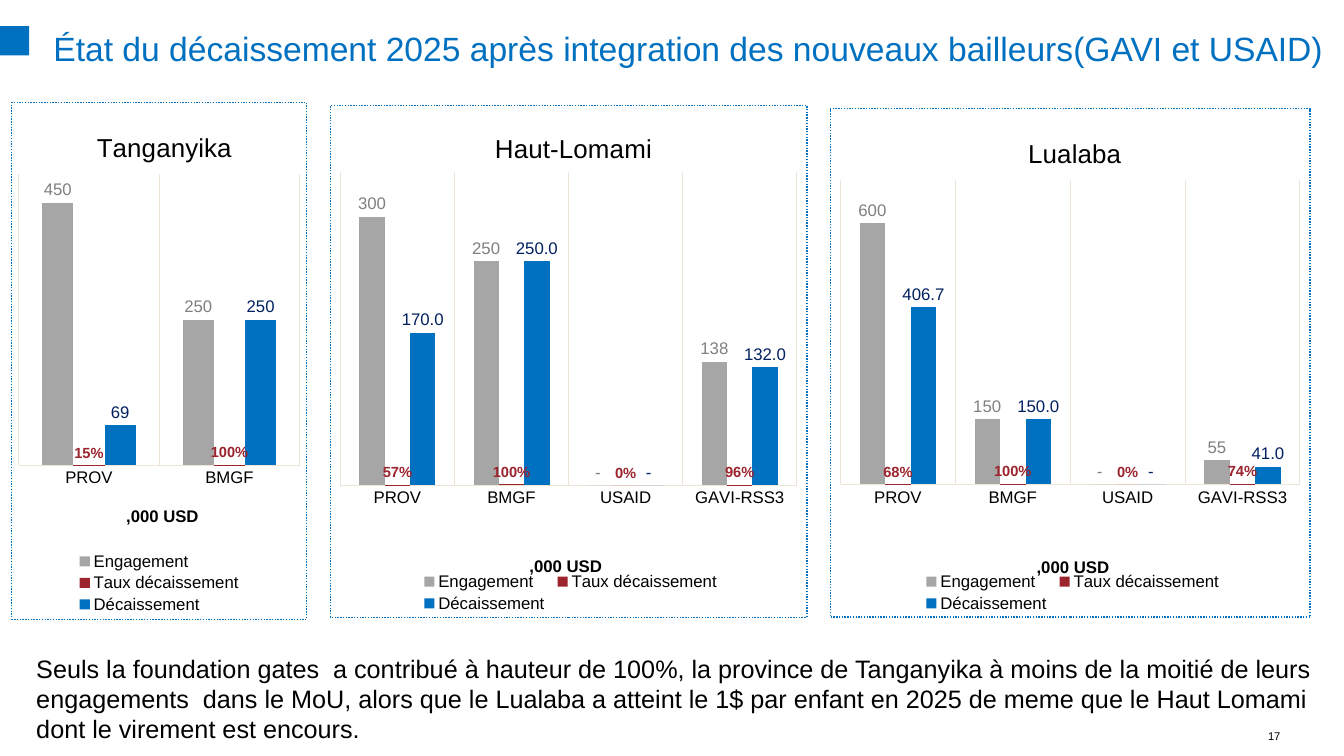
from dataclasses import dataclass

from lxml import etree
from pptx import Presentation
from pptx.chart.data import CategoryChartData
from pptx.dml.color import RGBColor
from pptx.enum.chart import XL_CHART_TYPE as ChartType
from pptx.enum.chart import XL_LABEL_POSITION as LabelPosition
from pptx.enum.chart import XL_LEGEND_POSITION as LegendPosition
from pptx.enum.chart import XL_TICK_MARK as TickMark
from pptx.enum.shapes import MSO_SHAPE as Preset
from pptx.enum.text import MSO_ANCHOR as Anchor
from pptx.enum.text import PP_ALIGN as Align
from pptx.oxml.ns import qn
from pptx.util import Emu, Pt

PX = 9144  # 100 px to the inch
FONT = "Arial"
COLORS = {
    "black": "000000",
    "blue": "0070C0",
    "navy": "002060",
    "grey": "A6A6A6",
    "label_grey": "808080",
    "red": "9B242D",
    "grid": "EDE4D8",
}
WHOLE, DECIMAL = (
    f'_ * #\\ {digits}_)_ ;_ * \\(#\\ {digits}\\)_ ;_ * "-"_)_ '
    for digits in ("##0", "##0.0")
)


@dataclass(frozen=True)
class Frame:
    left: int
    top: int
    width: int
    height: int

    def emu(self) -> list[Emu]:
        return [Emu(n * PX) for n in (self.left, self.top, self.width, self.height)]


@dataclass(frozen=True)
class SeriesStyle:
    name: str
    fill: str
    label_color: str
    label_size: float = 12
    bold: bool = False


@dataclass(frozen=True)
class Province:
    name: str
    frame: Frame
    plot: Frame
    legend: Frame
    title_at: tuple[int, int]
    unit_at: tuple[int, int]
    maximum: int
    funders: tuple[str, ...]
    pledged: tuple[float, ...]
    rate: tuple[float, ...]
    paid: tuple[float, ...]
    paid_format: str = DECIMAL


STYLES = (
    SeriesStyle("Engagement", "grey", "label_grey"),
    SeriesStyle("Taux décaissement", "red", "red", 10.5, True),
    SeriesStyle("Décaissement", "blue", "navy"),
)
ALL_FUNDERS = ("PROV", "BMGF", "USAID", "GAVI-RSS3")
PROVINCES = (
    Province("Tanganyika", Frame(11, 101, 294, 514), Frame(18, 172, 280, 290),
             Frame(72, 545, 172, 68), (91, 124), (122, 499), 500,
             ("PROV", "BMGF"), (450, 250), (0.15, 1), (69, 250), WHOLE),
    Province("Haut-Lomami", Frame(327, 104, 474, 509), Frame(337, 170, 454, 312),
             Frame(413, 565, 306, 47), (486, 125), (522, 549), 350,
             ALL_FUNDERS, (300, 250, 0, 138), (0.57, 1, 0, 0.96), (170, 250, 0, 132)),
    Province("Lualaba", Frame(823, 107, 477, 506), Frame(833, 178, 457, 303),
             Frame(911, 565, 306, 47), (1015, 130), (1025, 550), 700,
             ALL_FUNDERS, (600, 150, 0, 55), (0.68, 1, 0, 0.74), (406.7, 150, 0, 41)),
)


def rgb(name: str) -> RGBColor:
    return RGBColor.from_string(COLORS[name])


def style_font(font, size: float, color: str = "black", bold: bool = False) -> None:
    font.name, font.size, font.bold = FONT, Pt(size), bold
    font.color.rgb = rgb(color)


def add_text(page, text: str, frame: Frame, *, size: float, color: str = "black",
             align=Align.LEFT, anchor=Anchor.TOP, spacing: float = 1.0,
             inset_left: int = 0, inset_top: int = 0) -> None:
    text_frame = page.shapes.add_textbox(*frame.emu()).text_frame
    text_frame.word_wrap = True
    text_frame.vertical_anchor = anchor
    text_frame.margin_left = Emu(inset_left * PX)
    text_frame.margin_right = 0
    text_frame.margin_top = text_frame.margin_bottom = Emu(inset_top * PX)
    para = text_frame.paragraphs[0]
    para.alignment, para.line_spacing = align, spacing
    span = para.add_run()
    span.text = text
    style_font(span.font, size, color)


def place(element, index: int, chart_frame: Frame, left: int, top: int,
          width: int = 0, height: int = 0, inner: bool = False) -> None:
    """Give a chart part a fixed position, as a fraction of the chart frame."""
    for old in element.findall(qn("c:layout")):
        element.remove(old)
    layout = etree.Element(qn("c:layout"))
    manual = etree.SubElement(layout, qn("c:manualLayout"))
    settings = [("layoutTarget", "inner")] if inner else []
    settings += [("xMode", "edge"), ("yMode", "edge"),
                 ("x", (left - chart_frame.left) / chart_frame.width),
                 ("y", (top - chart_frame.top) / chart_frame.height)]
    if width:
        settings += [("w", width / chart_frame.width), ("h", height / chart_frame.height)]
    for tag, value in settings:
        etree.SubElement(manual, qn(f"c:{tag}")).set("val", str(value))
    element.insert(index, layout)


def add_border(chart) -> None:
    """Draw the dotted outline of the chart area, which has no public method."""
    properties = etree.Element(qn("c:spPr"))
    etree.SubElement(properties, qn("a:noFill"))
    line = etree.SubElement(properties, qn("a:ln"), w=str(Pt(1)))
    fill = etree.SubElement(line, qn("a:solidFill"))
    etree.SubElement(fill, qn("a:srgbClr"), val=COLORS["blue"])
    etree.SubElement(line, qn("a:prstDash"), val="sysDot")
    chart._chartSpace.find(qn("c:chart")).addnext(properties)


def set_title(title, text: str, size: float, bold: bool, frame: Frame,
              position: tuple[int, int]) -> None:
    para = title.text_frame.paragraphs[0]
    span = para.add_run()
    span.text = text
    style_font(span.font, size, bold=bold)
    place(title._element, 1, frame, *position)


def style_series(series, style: SeriesStyle, number_format: str) -> None:
    series.format.fill.solid()
    series.format.fill.fore_color.rgb = rgb(style.fill)
    series.format.line.fill.background()
    series.invert_if_negative = False
    labels = series.data_labels
    labels.show_value = True
    labels.position = LabelPosition.OUTSIDE_END
    labels.number_format, labels.number_format_is_linked = number_format, False
    style_font(labels.font, style.label_size, style.label_color, style.bold)


def add_province_chart(page, province: Province) -> None:
    data = CategoryChartData()
    data.categories = province.funders
    for style, values in zip(STYLES, (province.pledged, province.rate, province.paid)):
        data.add_series(style.name, values)
    frame = province.frame
    chart = page.shapes.add_chart(ChartType.COLUMN_CLUSTERED, *frame.emu(), data).chart
    style_font(chart.font, 10)
    add_border(chart)
    chart.has_title = True
    set_title(chart.chart_title, province.name, 18.6, False, frame, province.title_at)

    plot = chart.plots[0]
    plot.gap_width, plot.overlap, plot.vary_by_categories = 150, 0, False
    area, box = chart._chartSpace.chart.plotArea, province.plot
    place(area, 0, frame, box.left, box.top, box.width, box.height, inner=True)
    for series, style, number_format in zip(
            plot.series, STYLES, (WHOLE, "0%", province.paid_format)):
        style_series(series, style, number_format)

    values = chart.value_axis
    values.minimum_scale, values.maximum_scale = 0, province.maximum
    values.has_major_gridlines = values.visible = False
    funders = chart.category_axis
    funders.major_tick_mark = funders.minor_tick_mark = TickMark.NONE
    funders.has_major_gridlines = True
    for line in (funders.format.line, funders.major_gridlines.format.line):
        line.color.rgb, line.width = rgb("grid"), Pt(0.75)
    style_font(funders.tick_labels.font, 12)
    set_title(funders.axis_title, ",000 USD", 12, True, frame, province.unit_at)

    chart.has_legend = True
    legend, box = chart.legend, province.legend
    legend.position, legend.include_in_layout = LegendPosition.BOTTOM, False
    style_font(legend.font, 12)
    place(legend._element, 1, frame, box.left, box.top, box.width, box.height)


def main() -> None:
    deck = Presentation()
    deck.slide_width, deck.slide_height = Emu(1333 * PX), Emu(750 * PX)
    page = deck.slides.add_slide(deck.slide_layouts[6])

    marker = page.shapes.add_shape(Preset.RECTANGLE, *Frame(0, 26, 29, 29).emu())
    marker.shadow.inherit = False
    marker.fill.solid()
    marker.fill.fore_color.rgb = rgb("blue")
    marker.line.fill.background()

    add_text(page, "17", Frame(1242, 714, 28, 23), size=8,
             align=Align.RIGHT, anchor=Anchor.BOTTOM)
    add_text(page, "État du décaissement 2025 après integration des nouveaux "
             "bailleurs(GAVI et USAID)", Frame(53, 24, 1280, 76),
             size=24, color="blue", spacing=1.1)
    add_text(page, "Seuls la foundation gates  a contribué à hauteur de 100%, la province "
             "de Tanganyika à moins de la moitié de leurs engagements  dans le MoU, alors "
             "que le Lualaba a atteint le 1$ par enfant en 2025 de meme que le Haut Lomami "
             "dont le virement est encours.", Frame(21, 643, 1280, 101),
             size=18, inset_left=15, inset_top=5)
    for province in PROVINCES:
        add_province_chart(page, province)
    deck.save("out.pptx")


if __name__ == "__main__":
    main()
